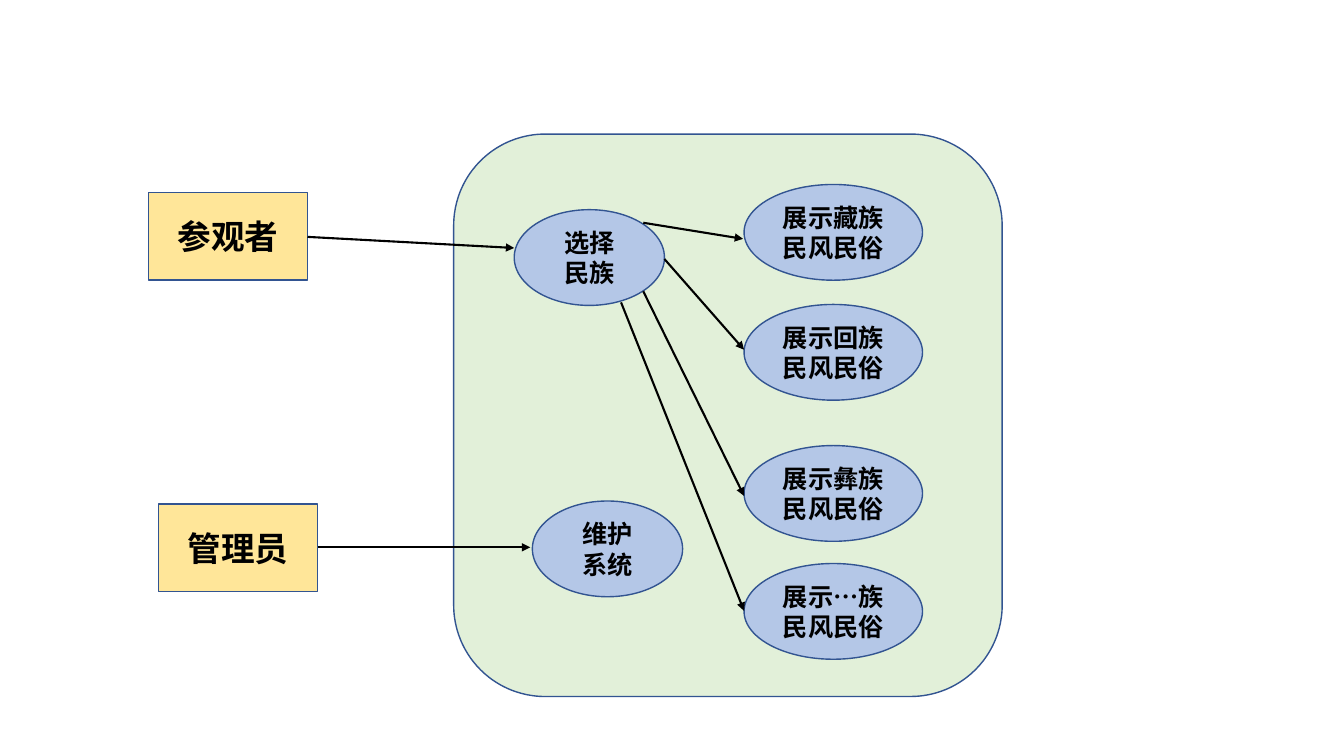
from lxml import etree
from pptx import Presentation
from pptx import util as u
from pptx.dml.color import RGBColor
from pptx.enum import lang, shapes, text
from pptx.oxml import ns


def color(value):
    return RGBColor.from_string(value)


class Diagram:
    font_name = "Calibri"
    outline = "325491"
    ink = "000000"

    def __init__(self, slide):
        self.slide = slide

    def box(self, kind, left, top, width, height, fill, label="", size=18):
        shape = self.slide.shapes.add_shape(
            kind, u.Inches(left), u.Inches(top), u.Inches(width), u.Inches(height))
        shape.shadow.inherit = False
        shape.fill.solid()
        shape.fill.fore_color.rgb = color(fill)
        shape.line.color.rgb = color(self.outline)
        shape.line.width = u.Pt(1)
        if label:
            self.set_label(shape.text_frame, label, size)

    def set_label(self, frame, label, size):
        frame.text = label
        frame.word_wrap = True
        frame.vertical_anchor = text.MSO_ANCHOR.MIDDLE
        for paragraph in frame.paragraphs:
            paragraph.alignment = text.PP_ALIGN.CENTER
            for run in paragraph.runs:
                run.font.name = self.font_name
                run.font.size = u.Pt(size)
                run.font.bold = True
                run.font.color.rgb = color(self.ink)
                run.font.language_id = lang.MSO_LANGUAGE_ID.SIMPLIFIED_CHINESE

    def system(self, left, top, width, height):
        self.box(shapes.MSO_SHAPE.ROUNDED_RECTANGLE, left, top, width, height, "E2F0D9")

    def actor(self, left, top, label):
        self.box(shapes.MSO_SHAPE.FLOWCHART_PROCESS, left, top, 1.58, 0.87,
                 "FFE699", label, 24)

    def use_case(self, left, top, width, label):
        self.box(shapes.MSO_SHAPE.OVAL, left, top, width, 0.95, "B4C7E7", label)

    def arrow(self, start, end):
        connector = self.slide.shapes.add_connector(
            shapes.MSO_CONNECTOR.STRAIGHT, *map(u.Inches, start + end))
        connector.line.color.rgb = color(self.ink)
        connector.line.width = u.Pt(1.5)
        properties = connector._element.spPr
        etree.SubElement(properties.find(ns.qn("a:ln")), ns.qn("a:tailEnd"), type="triangle")
        etree.SubElement(properties, ns.qn("a:effectLst"))


def main():
    presentation = Presentation()
    presentation.slide_width = u.Inches(13.33)
    presentation.slide_height = u.Inches(7.5)
    diagram = Diagram(presentation.slides.add_slide(presentation.slide_layouts[6]))

    diagram.system(4.5, 1.33, 5.44, 5.58)
    diagram.actor(1.47, 1.91, "参观者")
    diagram.actor(1.57, 5, "管理员")
    diagram.use_case(5.1, 2.08, 1.49, "选择\n民族")
    diagram.use_case(5.28, 4.97, 1.49, "维护\n系统")
    diagram.arrow((3.05, 2.35), (5.1, 2.46))
    diagram.arrow((3.15, 5.43), (5.26, 5.43))

    customs = [
        ("藏", 1.83, (6.38, 2.21), (7.37, 2.37)),
        ("回", 3.02, (6.59, 2.57), (7.38, 3.47)),
        ("彝", 4.42, (6.38, 2.89), (7.38, 4.92)),
        ("…", 5.59, (6.16, 3), (7.38, 6.06)),
    ]
    for group, top, start, end in customs:
        diagram.use_case(7.38, top, 1.77, f"展示{group}族民风民俗")
        diagram.arrow(start, end)

    presentation.save("out.pptx")


if __name__ == "__main__":
    main()
